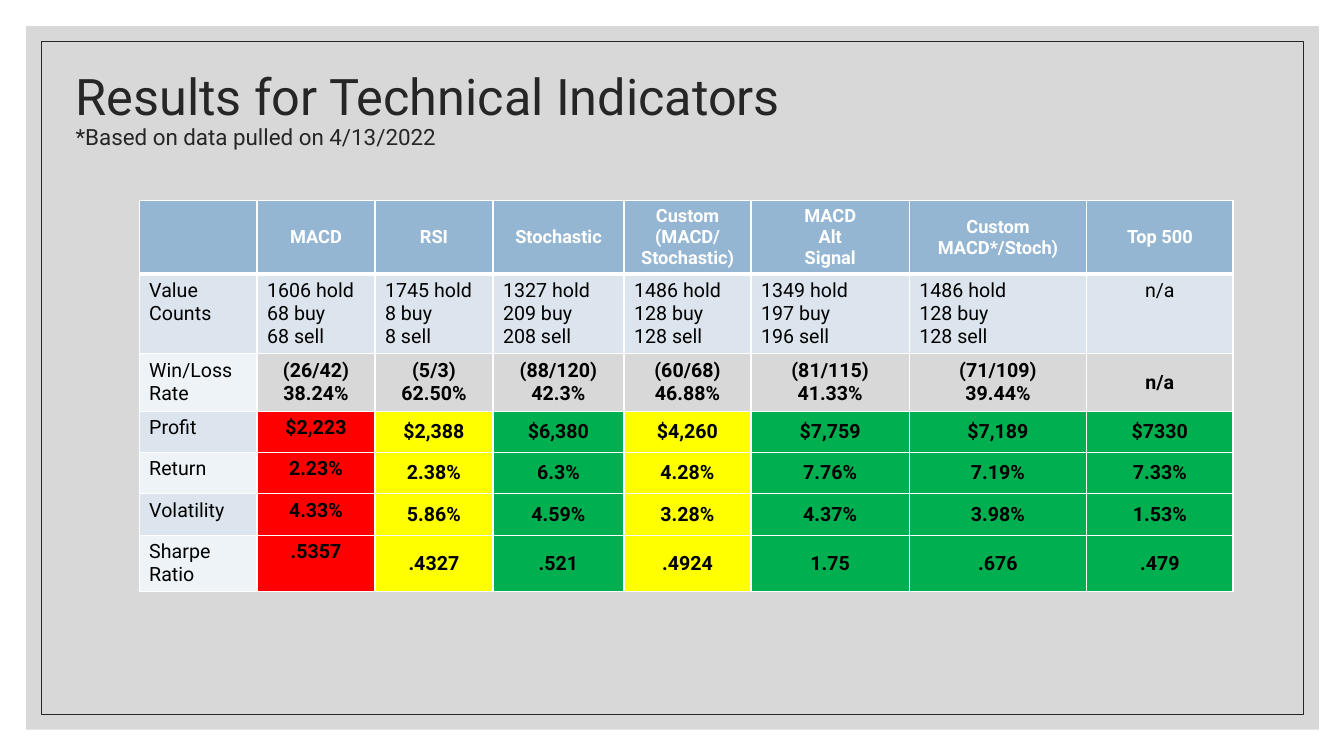
from copy import deepcopy

from lxml import etree
from pptx import Presentation
from pptx.dml.color import RGBColor
from pptx.enum.shapes import MSO_SHAPE
from pptx.enum.text import MSO_ANCHOR, MSO_AUTO_SIZE, PP_ALIGN
from pptx.oxml.ns import qn
from pptx.util import Emu, Pt

RECT = MSO_SHAPE.RECTANGLE
TOP, MIDDLE = MSO_ANCHOR.TOP, MSO_ANCHOR.MIDDLE
LEFT, CENTER = PP_ALIGN.LEFT, PP_ALIGN.CENTER
NO_AUTOFIT = MSO_AUTO_SIZE.NONE

PX = 9144  # 100 px to the inch
THEME = {
    "font": "Roboto",
    "ink": "262626", "text": "000000", "white": "FFFFFF", "panel": "BFBFBF",
    "header": "94B6D2", "bands": ("DCE5EE", "EEF3F7"),
    "red": "FF0000", "yellow": "FFFF00", "green": "00B050",
    "title_size": 36, "note_size": 16, "header_size": 13, "cell_size": 14,
}


def px(*lengths):
    return [Emu(n * PX) for n in lengths]


def add_run(p, text, size, color, bold=False):
    r = p.add_run()
    r.text = text
    r.font.name = THEME["font"]
    r.font.size = Pt(size)
    r.font.bold = bold
    r.font.color.rgb = RGBColor.from_string(color)
    return r


prs = Presentation()
prs.slide_width, prs.slide_height = px(1333, 750)
s = prs.slides.add_slide(prs.slide_layouts[5])

# Translucent panel and thin frame
panel = s.shapes.add_shape(RECT, *px(26, 26, 1282, 698))
panel.shadow.inherit = False
panel.fill.solid()
panel.fill.fore_color.rgb = RGBColor.from_string(THEME["panel"])
panel_color = panel.fill._xPr.find(qn("a:solidFill"))[0]
etree.SubElement(panel_color, qn("a:alpha"), val="60000")
panel.line.fill.background()

frame = s.shapes.add_shape(RECT, *px(41, 41, 1252, 668))
frame.shadow.inherit = False
frame.fill.background()
frame.line.color.rgb = RGBColor.from_string(THEME["ink"])
frame.line.width = Pt(0.5)

# Title with a small note below, in front of the panel
title = s.shapes.title
s.shapes._spTree.append(title._element)
title.left, title.top, title.width, title.height = px(65, 35, 1100, 150)
tf = title.text_frame
tf.word_wrap = True
tf.auto_size = NO_AUTOFIT
tf.vertical_anchor = MIDDLE
p = tf.paragraphs[0]
p.alignment = LEFT
p.line_spacing = 0.9
r = add_run(p, "Results for Technical Indicators", THEME["title_size"], THEME["ink"])
p.add_line_break()
p._p[-1].append(deepcopy(r._r.rPr))
add_run(p, "*Based on data pulled on 4/13/2022", THEME["note_size"], THEME["ink"])

# Results table
COLUMN_WIDTHS = (117, 117, 117, 130, 126, 157, 176, 145)
ROW_HEIGHTS = (72, 79, 57, 41, 41, 41, 56)
RATINGS = ("red", "yellow", "green", "yellow", "green", "green", "green")
RESULTS = (
    ("", "MACD", "RSI", "Stochastic", "Custom\n(MACD/ Stochastic)",
     "MACD\nAlt\nSignal", "Custom MACD*/Stoch)", "Top 500"),
    ("Value Counts", "1606 hold\n68 buy\n68 sell", "1745 hold\n8 buy\n8 sell",
     "1327 hold\n209 buy\n208 sell", "1486 hold\n128 buy\n128 sell",
     "1349 hold\n197 buy\n196 sell", "1486 hold\n128 buy\n128 sell", "n/a"),
    ("Win/Loss Rate", "(26/42)\n38.24%", "(5/3)\n62.50%", "(88/120)\n42.3%",
     "(60/68)\n46.88%", "(81/115)\n41.33%", "(71/109)\n39.44%", "n/a"),
    ("Profit", "$2,223", "$2,388", "$6,380", "$4,260", "$7,759", "$7,189", "$7330"),
    ("Return", "2.23%", "2.38%", "6.3%", "4.28%", "7.76%", "7.19%", "7.33%"),
    ("Volatility", "4.33%", "5.86%", "4.59%", "3.28%", "4.37%", "3.98%", "1.53%"),
    ("Sharpe Ratio", ".5357", ".4327", ".521", ".4924", "1.75", ".676", ".479"),
)
table = s.shapes.add_table(
    len(ROW_HEIGHTS), len(COLUMN_WIDTHS),
    *px(138, 199, sum(COLUMN_WIDTHS), sum(ROW_HEIGHTS))).table
table.first_row = False
table.horz_banding = False
for column, width in zip(table.columns, px(*COLUMN_WIDTHS)):
    column.width = width
for row, height in zip(table.rows, px(*ROW_HEIGHTS)):
    row.height = height

for i, values in enumerate(RESULTS):
    for j, value in enumerate(values):
        cell = table.cell(i, j)
        is_header = i == 0
        is_figure = i >= 2 and j > 0

        # Fill: header, banded labels and counts, rated figures
        if is_header:
            fill = THEME["header"]
        elif j == 0 or i == 1:
            fill = THEME["bands"][(i - 1) % 2]
        else:
            fill = THEME[RATINGS[j - 1]] if i > 2 else None
        if fill:
            cell.fill.solid()
            cell.fill.fore_color.rgb = RGBColor.from_string(fill)
        else:
            cell.fill.background()

        # White borders, heavier around the header's lower edge
        tcPr = cell._tc.get_or_add_tcPr()
        for k, side in enumerate("LRTB"):
            heavy = (i, side) in ((0, "B"), (1, "T"))
            ln = etree.Element(qn(f"a:ln{side}"), w=str(Pt(3 if heavy else 1)))
            solid = etree.SubElement(ln, qn("a:solidFill"))
            etree.SubElement(solid, qn("a:srgbClr"), val=THEME["white"])
            tcPr.insert(k, ln)

        # Text
        cell.vertical_anchor = MIDDLE if is_header or (is_figure and j > 1) else TOP
        tf = cell.text_frame
        for n, line in enumerate(value.split("\n")):
            p = tf.add_paragraph() if n else tf.paragraphs[0]
            centered = is_header or is_figure or value == "n/a"
            p.alignment = CENTER if centered else LEFT
            if line:
                size = THEME["header_size" if is_header else "cell_size"]
                color = THEME["white" if is_header else "text"]
                add_run(p, line, size, color, is_header or is_figure)

prs.save("out.pptx")
